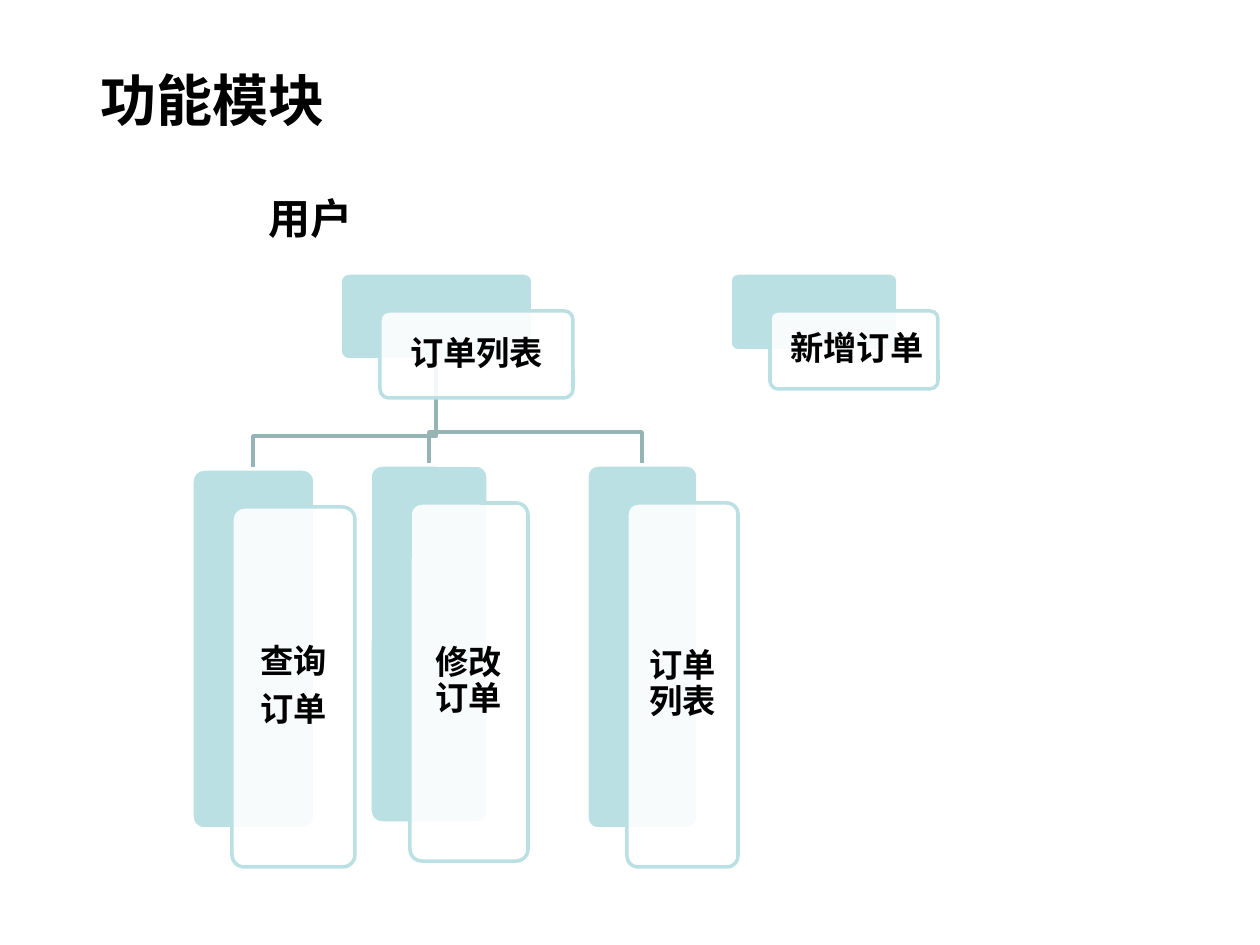
from dataclasses import dataclass

from lxml import etree
from pptx import Presentation
from pptx import util as u
from pptx.dml.color import RGBColor
from pptx.enum import shapes, text
from pptx.oxml.ns import qn


@dataclass(frozen=True)
class Theme:
    font: str = "Arial"
    ink: str = "000000"
    paper: str = "FFFFFF"
    card: str = "BBE0E3"
    link: str = "96B3B6"
    title: int = 32
    heading: int = 24
    label: int = 19
    line: int = 2


class Deck:
    """Draw themed elements on the current slide, with lengths in px."""

    SCALE = 914400 / 126
    INSET = 7
    OFFSET = 40, 38
    DROP = 33

    def __init__(self, theme, width, height):
        self.theme = theme
        self.prs = Presentation()
        self.prs.slide_width, self.prs.slide_height = self.emu(width), self.emu(height)
        self.s = self.prs.slides.add_slide(self.prs.slide_layouts[5])

    def emu(self, px):
        return u.Emu(round(px * self.SCALE))

    def place(self, box):
        return [self.emu(v) for v in box]

    def fill_text(self, tf, lines, size, frame, para):
        for name, value in frame.items():
            setattr(tf, name, value)
        for i, line in enumerate(lines):
            p = tf.paragraphs[0] if i == 0 else tf.add_paragraph()
            for name, value in para.items():
                setattr(p, name, value)
            r = p.add_run()
            r.text = line
            fmt = {"name": self.theme.font, "size": u.Pt(size), "bold": True}
            for name, value in fmt.items():
                setattr(r.font, name, value)
            r.font.color.rgb = RGBColor.from_string(self.theme.ink)

    def caption(self, sp, box, line, size):
        for name, value in zip(("left", "top", "width", "height"), self.place(box)):
            setattr(sp, name, value)
        frame = {"word_wrap": False, "auto_size": text.MSO_AUTO_SIZE.SHAPE_TO_FIT_TEXT,
                 "vertical_anchor": text.MSO_ANCHOR.TOP}
        self.fill_text(sp.text_frame, [line], size, frame, {"alignment": text.PP_ALIGN.LEFT})

    def title(self, line, box):
        self.caption(self.s.shapes.title, box, line, self.theme.title)

    def heading(self, line, box):
        sp = self.s.shapes.add_textbox(*self.place(box))
        self.caption(sp, box, line, self.theme.heading)

    def panel(self, box, fill, line):
        sp = self.s.shapes.add_shape(shapes.MSO_SHAPE.ROUNDED_RECTANGLE, *self.place(box))
        sp.shadow.inherit = False
        sp.adjustments[0] = 0.1
        sp.fill.solid()
        sp.fill.fore_color.rgb = RGBColor.from_string(fill)
        sp.line.color.rgb = RGBColor.from_string(line)
        sp.line.width = u.Pt(self.theme.line)
        return sp

    def card(self, box, lines, indent=0):
        t = self.theme
        x, y, w, h = box
        dx, dy = self.OFFSET
        self.panel(box, t.card, t.paper)
        sp = self.panel((x + dx, y + dy, w, h), t.paper, t.card)
        color = sp._element.spPr.find(qn("a:solidFill")).find(qn("a:srgbClr"))
        etree.SubElement(color, qn("a:alpha")).set("val", "90000")
        frame = {f"margin_{side}": self.emu(self.INSET) for side in ("top", "right", "bottom")}
        frame.update(margin_left=self.emu(self.INSET + indent), word_wrap=True,
                     vertical_anchor=text.MSO_ANCHOR.MIDDLE)
        para = {"alignment": text.PP_ALIGN.CENTER, "line_spacing": 0.9,
                "space_after": u.Pt(7)}
        self.fill_text(sp.text_frame, lines, t.label, frame, para)

    def branch(self, parent, child):
        x, y, w, h = parent
        start, bottom = x + w // 2, y + h
        end, top = child[0] + child[2] // 2, child[1]
        bend = top - self.DROP
        fb = self.s.shapes.build_freeform(start, bottom, self.SCALE)
        fb.add_line_segments([(start, bend), (end, bend), (end, top)], close=False)
        sp = fb.convert_to_shape()
        sp.shadow.inherit = False
        sp.fill.background()
        sp.line.color.rgb = RGBColor.from_string(self.theme.link)
        sp.line.width = u.Pt(self.theme.line)


def main():
    deck = Deck(Theme(), 1260, 945)
    deck.title("功能模块", (88, 59, 252, 81))
    deck.heading("用户", (256, 186, 111, 63))

    order_list = (340, 273, 193, 87)
    actions = [
        ((192, 469, 123, 360), ["查询", "订单"]),
        ((370, 465, 118, 358), ["修改订单"]),
        ((587, 465, 111, 364), ["订单列表"]),
    ]
    for box, _ in reversed(actions):
        deck.branch(order_list, box)
    deck.card(order_list, ["订单列表"])
    for box, lines in actions:
        deck.card(box, lines)
    deck.card((730, 273, 168, 78), ["新增订单"], indent=6)

    deck.prs.save("out.pptx")


if __name__ == "__main__":
    main()
